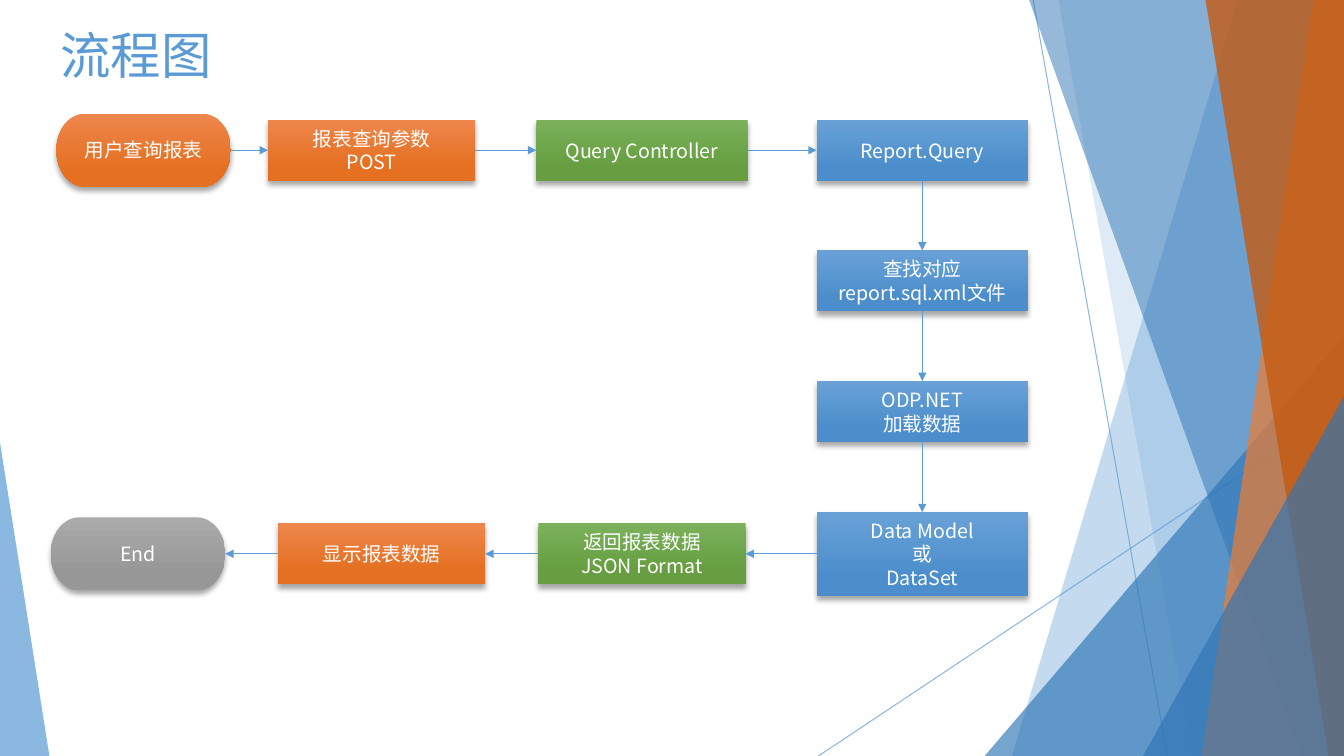
from dataclasses import dataclass
from itertools import pairwise

from lxml import etree
from pptx import Presentation
from pptx.dml.color import RGBColor
from pptx.enum.shapes import MSO_CONNECTOR, MSO_SHAPE
from pptx.enum.text import MSO_ANCHOR, PP_ALIGN
from pptx.oxml.ns import qn
from pptx.shapes.autoshape import Shape
from pptx.shapes.connector import Connector
from pptx.slide import Slide
from pptx.util import Pt

STRAIGHT = MSO_CONNECTOR.STRAIGHT
TRIANGLE = MSO_SHAPE.ISOSCELES_TRIANGLE
PROCESS = MSO_SHAPE.FLOWCHART_PROCESS
TERMINATOR = MSO_SHAPE.FLOWCHART_TERMINATOR
CENTER = PP_ALIGN.CENTER
LEFT = PP_ALIGN.LEFT
MIDDLE = MSO_ANCHOR.MIDDLE
TOP = MSO_ANCHOR.TOP

FONT = "Noto Sans CJK SC"
PAGE_WIDTH, PAGE_HEIGHT = 960, 540
BLUE, DARK_BLUE = "5B9BD5", "2E75B6"
ORANGE, DARK_ORANGE = "ED7D31", "C55A11"
USER_FILL = ("EE864C", "E57021")
CONTROLLER_FILL = ("7AB15A", "669E41")
MODEL_FILL = ("69A1D7", "4B8ECB")
END_FILL = ("AAAAAA", "979797")
SITE_TOP, SITE_LEFT, SITE_BOTTOM, SITE_RIGHT = range(4)
FIRST_ROW, LAST_ROW, ROW_STEP = 107.3, 395.6, 93.3
MODEL_X, CONTROLLER_X = 658.8, 458.6


@dataclass
class Facet:
    """A band from a slanted left edge to the right side of the page."""
    top_x: float
    bottom_x: float
    color: str
    opacity: int


@dataclass
class Wedge:
    """A right-angled triangle standing on the bottom of the page."""
    left: float
    top: float
    width: float
    apex: float
    color: str
    opacity: int


@dataclass
class Step:
    """A flowchart box placed by its centre."""
    text: str
    x: float
    y: float
    width: float
    height: float
    colors: tuple[str, str]
    kind: MSO_SHAPE = PROCESS


DECORATION = [
    Facet(884.2, 722.9, BLUE, 36),
    Facet(756, 851.8, BLUE, 20),
    Wedge(703.4, 239.8, 256.6, 1, DARK_BLUE, 66),
    Facet(735.1, 929.5, DARK_BLUE, 50),
    Facet(938.2, 858.2, ORANGE, 70),
    Facet(861.1, 949, DARK_ORANGE, 80),
    Wedge(816.5, 283, 143.5, 1, DARK_BLUE, 66),
    Wedge(0, 316.1, 35.3, 0, BLUE, 70),
]
RAYS = [(738, 0, 833.8, PAGE_HEIGHT), (PAGE_WIDTH, 290.2, 584.6, PAGE_HEIGHT)]

STEPS = [
    Step("用户查询报表", 102.6, FIRST_ROW, 124.6, 52, USER_FILL, TERMINATOR),
    Step("报表查询参数\nPOST", 265.5, FIRST_ROW, 148, 43.5, USER_FILL),
    Step("Query Controller", CONTROLLER_X, FIRST_ROW, 151, 43.5, CONTROLLER_FILL),
    Step("Report.Query", MODEL_X, FIRST_ROW, 151, 43.5, MODEL_FILL),
    Step("查找对应report.sql.xml文件", MODEL_X, FIRST_ROW + ROW_STEP, 151, 43.5, MODEL_FILL),
    Step("ODP.NET\n加载数据", MODEL_X, FIRST_ROW + 2 * ROW_STEP, 151, 43.5, MODEL_FILL),
    Step("Data Model\n或\nDataSet", MODEL_X, LAST_ROW, 151, 59.6, MODEL_FILL),
    Step("返回报表数据\nJSON Format", CONTROLLER_X, LAST_ROW, 148, 43.5, CONTROLLER_FILL),
    Step("显示报表数据", 272.7, LAST_ROW, 148, 43.5, USER_FILL),
    Step("End", 98.6, LAST_ROW, 124.6, 52, END_FILL, TERMINATOR),
]


def rgb(color: str) -> RGBColor:
    """Turn a hex string into a colour."""
    return RGBColor.from_string(color)


def set_opacity(owner: etree._Element, percent: int) -> None:
    """Add an opacity to the first plain colour inside an element."""
    color = next(owner.iter(qn("a:srgbClr")))
    etree.SubElement(color, qn("a:alpha"), val=str(percent * 1000))


def draw_decoration(page: Slide, part: Facet | Wedge) -> None:
    """Draw one translucent background part."""
    if isinstance(part, Facet):
        builder = page.shapes.build_freeform(Pt(part.top_x), 0)
        corners = [(PAGE_WIDTH, 0), (PAGE_WIDTH, PAGE_HEIGHT), (part.bottom_x, PAGE_HEIGHT)]
        builder.add_line_segments([(Pt(x), Pt(y)) for x, y in corners])
        shape = builder.convert_to_shape()
    else:
        shape = page.shapes.add_shape(
            TRIANGLE, Pt(part.left), Pt(part.top), Pt(part.width), Pt(PAGE_HEIGHT - part.top))
        shape.adjustments[0] = part.apex
    shape.fill.solid()
    shape.fill.fore_color.rgb = rgb(part.color)
    set_opacity(shape.element.spPr, part.opacity)
    shape.line.fill.background()
    shape.shadow.inherit = False


def draw_line(page: Slide, ends: tuple[float, ...], width: float) -> Connector:
    """Draw a plain blue line."""
    line = page.shapes.add_connector(STRAIGHT, *(Pt(value) for value in ends))
    line.line.color.rgb = rgb(BLUE)
    line.line.width = Pt(width)
    etree.SubElement(line.element.spPr, qn("a:effectLst"))
    return line


def draw_step(page: Slide, step: Step) -> Shape:
    """Draw a flowchart box with gradient, shadow and text."""
    box = page.shapes.add_shape(
        step.kind, Pt(step.x - step.width / 2), Pt(step.y - step.height / 2),
        Pt(step.width), Pt(step.height))
    box.fill.gradient()
    box.fill.gradient_angle = 270
    for stop, color, position in zip(box.fill.gradient_stops, step.colors, (0, 0.78)):
        stop.color.rgb = rgb(color)
        stop.position = position
    box.line.fill.background()
    box.shadow.inherit = False
    shadow = etree.SubElement(
        box.element.spPr.find(qn("a:effectLst")), qn("a:outerShdw"),
        blurRad=str(Pt(4)), dist=str(Pt(3)), dir="5400000", rotWithShape="0")
    etree.SubElement(shadow, qn("a:srgbClr"), val="000000")
    set_opacity(shadow, 35)
    frame = box.text_frame
    frame.word_wrap = True
    frame.vertical_anchor = MIDDLE
    frame.text = step.text
    for para in frame.paragraphs:
        para.alignment = CENTER
        para.font.name = FONT
        para.font.size = Pt(14)
        para.font.color.rgb = rgb("FFFFFF")
    return box


def draw_arrow(page: Slide, source: Shape, target: Shape, sites: tuple[int, int]) -> None:
    """Join two boxes with an arrow between the given sites."""
    arrow = draw_line(page, (0, 0, 0, 0), 1)
    arrow.begin_connect(source, sites[0])
    arrow.end_connect(target, sites[1])
    etree.SubElement(arrow.line._get_or_add_ln(), qn("a:tailEnd"), type="triangle")


def choose_sites(source: Step, target: Step) -> tuple[int, int]:
    """Pick the facing sides of two neighbouring steps."""
    if source.x == target.x:
        return SITE_BOTTOM, SITE_TOP
    return (SITE_RIGHT, SITE_LEFT) if source.x < target.x else (SITE_LEFT, SITE_RIGHT)


def write_title(page: Slide, text: str) -> None:
    """Place and format the title."""
    title = page.shapes.title
    title.left, title.top, title.width, title.height = Pt(36), Pt(18.7), Pt(697.7), Pt(63.4)
    title.text_frame.text = text
    title.text_frame.vertical_anchor = TOP
    para = title.text_frame.paragraphs[0]
    para.alignment = LEFT
    para.line_spacing = 0.9
    para.font.name = FONT
    para.font.size = Pt(36)
    para.font.color.rgb = rgb(BLUE)


def main() -> None:
    """Build and save the deck."""
    deck = Presentation()
    deck.slide_width, deck.slide_height = Pt(PAGE_WIDTH), Pt(PAGE_HEIGHT)
    page = deck.slides.add_slide(deck.slide_layouts[5])
    write_title(page, "流程图")
    for ends in RAYS:
        ray = draw_line(page, ends, 0.75)
        set_opacity(ray.element.spPr, 70)
    for part in DECORATION:
        draw_decoration(page, part)
    boxes = [draw_step(page, step) for step in STEPS]
    for (source, start), (target, end) in pairwise(zip(boxes, STEPS)):
        draw_arrow(page, source, target, choose_sites(start, end))
    deck.save("out.pptx")


main()
